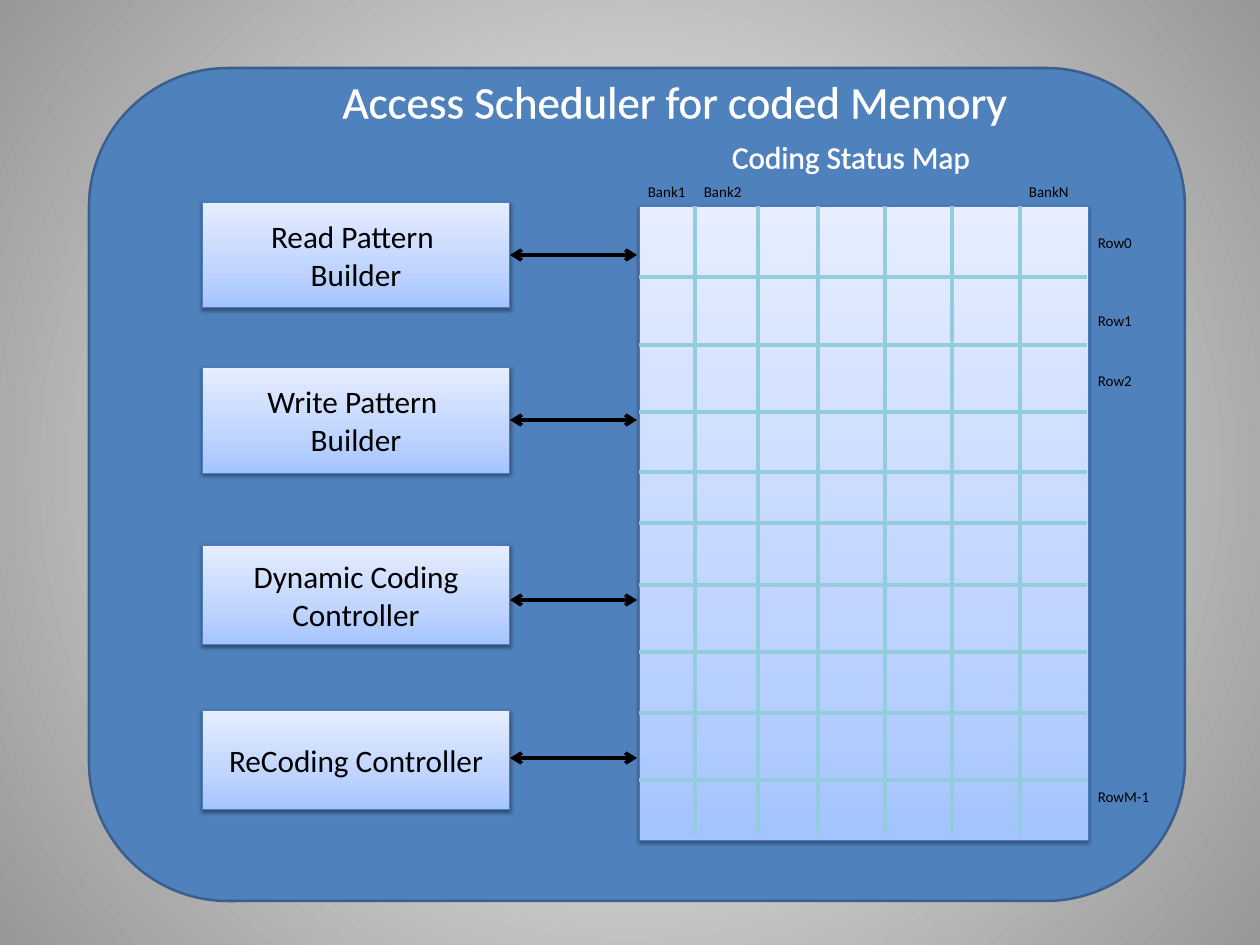
from dataclasses import dataclass

from lxml import etree
from pptx import Presentation
from pptx.dml.color import RGBColor
from pptx.enum.shapes import MSO_CONNECTOR, MSO_SHAPE
from pptx.enum.text import MSO_ANCHOR, MSO_AUTO_SIZE, PP_ALIGN
from pptx.oxml import parse_xml
from pptx.oxml.ns import nsdecls, qn
from pptx.util import Emu, Pt

EMU_PER_PX = 10160
STRAIGHT = MSO_CONNECTOR.STRAIGHT
RECTANGLE = MSO_SHAPE.RECTANGLE
PROCESS = MSO_SHAPE.FLOWCHART_PROCESS
ROUNDED = MSO_SHAPE.ROUNDED_RECTANGLE
LEFT, CENTER = PP_ALIGN.LEFT, PP_ALIGN.CENTER
MIDDLE = MSO_ANCHOR.MIDDLE
GROW = MSO_AUTO_SIZE.SHAPE_TO_FIT_TEXT
RIGHT_SIDE = 3

BLACK, WHITE = "000000", "FFFFFF"
PANEL_FILL, PANEL_LINE = "4F81BD", "3A5F8C"
BOX_LINE, GRID_LINE = "4B7EBC", "93CDDD"
BOX_STOPS = [(0, "A4C4FF"), (35, "BFD4FF"), (100, "E6EEFF")]
BACKGROUND_STOPS = [(0, "FFFFFF"), (100, "979797")]
LINEAR_UP = '<a:lin ang="16200000" scaled="0"/>'
RADIAL = '<a:path path="circle"><a:fillToRect l="50000" t="50000" r="50000" b="50000"/></a:path>'


@dataclass
class Box:
    lines: list[str]
    left: int
    top: int
    width: int
    height: int
    arrow_y: int


@dataclass
class Label:
    text: str
    left: int
    top: int
    width: int
    height: int = 27
    size: int = 12
    color: str = BLACK
    align: PP_ALIGN = LEFT
    wrap: bool = False
    outlined: bool = False


BOXES = [
    Box(["Read Pattern ", "Builder"], 202, 202, 308, 106, 255),
    Box(["Write Pattern ", "Builder"], 202, 367, 308, 106, 420),
    Box(["Dynamic Coding Controller"], 202, 545, 308, 100, 600),
    Box(["ReCoding Controller"], 202, 710, 308, 100, 758),
]
MAP_LEFT, MAP_TOP, MAP_WIDTH, MAP_HEIGHT = 639, 206, 449, 634
MAP_RIGHT, GRID_BOTTOM, ARROW_END = 1087, 836, 637
COLUMN_LINES = [695, 758, 818, 885, 952, 1020]
ROW_LINES = [277, 345, 412, 472, 523, 585, 652, 713, 780]
LABELS = [
    Label("Access Scheduler for coded Memory", 330, 69, 690, 64, 36, WHITE, CENTER, True, True),
    Label("Coding Status Map", 723, 133, 260, 47, 25, WHITE, outlined=True),
    *[Label(text, left, 178, 60) for text, left in [("Bank1", 639), ("Bank2", 695), ("BankN", 1020)]],
    *[Label(text, 1089, top, 60) for text, top in [("Row0", 229), ("Row1", 307), ("Row2", 367)]],
    Label("RowM-1", 1089, 783, 74),
]


def px(value: int) -> Emu:
    return Emu(value * EMU_PER_PX)


def rgb(color: str) -> RGBColor:
    return RGBColor.from_string(color)


def gradient(stops: list[tuple[int, str]], direction: str):
    stop_xml = "".join(
        f'<a:gs pos="{position * 1000}"><a:srgbClr val="{color}"/></a:gs>' for position, color in stops
    )
    return parse_xml(
        f'<a:gradFill {nsdecls("a")} rotWithShape="1"><a:gsLst>{stop_xml}</a:gsLst>{direction}</a:gradFill>'
    )


def replace_solid_fill(properties, fill) -> None:
    properties.replace(properties.find(qn("a:solidFill")), fill)


def add_block(slide, kind, left: int, top: int, width: int, height: int,
              fill: str, line: str, line_width: float):
    shape = slide.shapes.add_shape(kind, px(left), px(top), px(width), px(height))
    shape.shadow.inherit = False
    shape.fill.solid()
    shape.fill.fore_color.rgb = rgb(fill)
    shape.line.color.rgb = rgb(line)
    shape.line.width = Pt(line_width)
    return shape


def add_raised_block(slide, kind, left: int, top: int, width: int, height: int):
    shape = add_block(slide, kind, left, top, width, height, WHITE, BOX_LINE, 0.75)
    properties = shape.element.spPr
    replace_solid_fill(properties, gradient(BOX_STOPS, LINEAR_UP))
    properties.find(qn("a:effectLst")).append(parse_xml(
        f'<a:outerShdw {nsdecls("a")} blurRad="40000" dist="20000" dir="5400000" rotWithShape="0">'
        f'<a:srgbClr val="{BLACK}"><a:alpha val="38000"/></a:srgbClr></a:outerShdw>'
    ))
    return shape


def write_text(frame, lines: list[str], size: int, color: str, align: PP_ALIGN,
               outlined: bool = False) -> None:
    for index, text in enumerate(lines):
        paragraph = frame.add_paragraph() if index else frame.paragraphs[0]
        paragraph.alignment = align
        run = paragraph.add_run()
        run.text = text
        for name, value in {"name": "Calibri", "size": Pt(size)}.items():
            setattr(run.font, name, value)
        run.font.color.rgb = rgb(color)
        if outlined:
            run.font._element.insert(0, parse_xml(
                f'<a:ln {nsdecls("a")} w="18415"><a:solidFill><a:srgbClr val="{color}"/></a:solidFill></a:ln>'
            ))


def add_label(slide, label: Label) -> None:
    text_box = slide.shapes.add_textbox(px(label.left), px(label.top), px(label.width), px(label.height))
    frame = text_box.text_frame
    for name, value in {"word_wrap": label.wrap, "auto_size": GROW}.items():
        setattr(frame, name, value)
    write_text(frame, [label.text], label.size, label.color, label.align, label.outlined)


def add_line(slide, x1: int, y1: int, x2: int, y2: int, color: str):
    connector = slide.shapes.add_connector(STRAIGHT, px(x1), px(y1), px(x2), px(y2))
    connector.line.color.rgb = rgb(color)
    connector.line.width = Pt(3)
    etree.SubElement(connector.element.spPr, qn("a:effectLst"))
    return connector


def add_box(slide, box: Box) -> None:
    shape = add_raised_block(slide, RECTANGLE, box.left, box.top, box.width, box.height)
    frame = shape.text_frame
    for name, value in {"word_wrap": True, "vertical_anchor": MIDDLE}.items():
        setattr(frame, name, value)
    write_text(frame, box.lines, 25, BLACK, CENTER)

    arrow = add_line(slide, box.left + box.width, box.arrow_y, ARROW_END, box.arrow_y, BLACK)
    for end in ("a:headEnd", "a:tailEnd"):
        etree.SubElement(arrow.element.spPr.find(qn("a:ln")), qn(end), type="arrow")
    if box.arrow_y == box.top + box.height // 2:
        arrow.begin_connect(shape, RIGHT_SIDE)


def main() -> None:
    presentation = Presentation()
    presentation.slide_width, presentation.slide_height = px(1260), px(945)
    slide = presentation.slides.add_slide(presentation.slide_layouts[6])
    slide.background.fill.solid()
    replace_solid_fill(slide.element.find(".//" + qn("p:bgPr")), gradient(BACKGROUND_STOPS, RADIAL))

    add_block(slide, ROUNDED, 89, 68, 1096, 833, PANEL_FILL, PANEL_LINE, 2)
    add_raised_block(slide, PROCESS, MAP_LEFT, MAP_TOP, MAP_WIDTH, MAP_HEIGHT)
    for x in COLUMN_LINES:
        add_line(slide, x, MAP_TOP, x, GRID_BOTTOM, GRID_LINE)
    for y in ROW_LINES:
        add_line(slide, MAP_LEFT, y, MAP_RIGHT, y, GRID_LINE)
    for box in BOXES:
        add_box(slide, box)
    for label in LABELS:
        add_label(slide, label)
    presentation.save("out.pptx")


if __name__ == "__main__":
    main()
